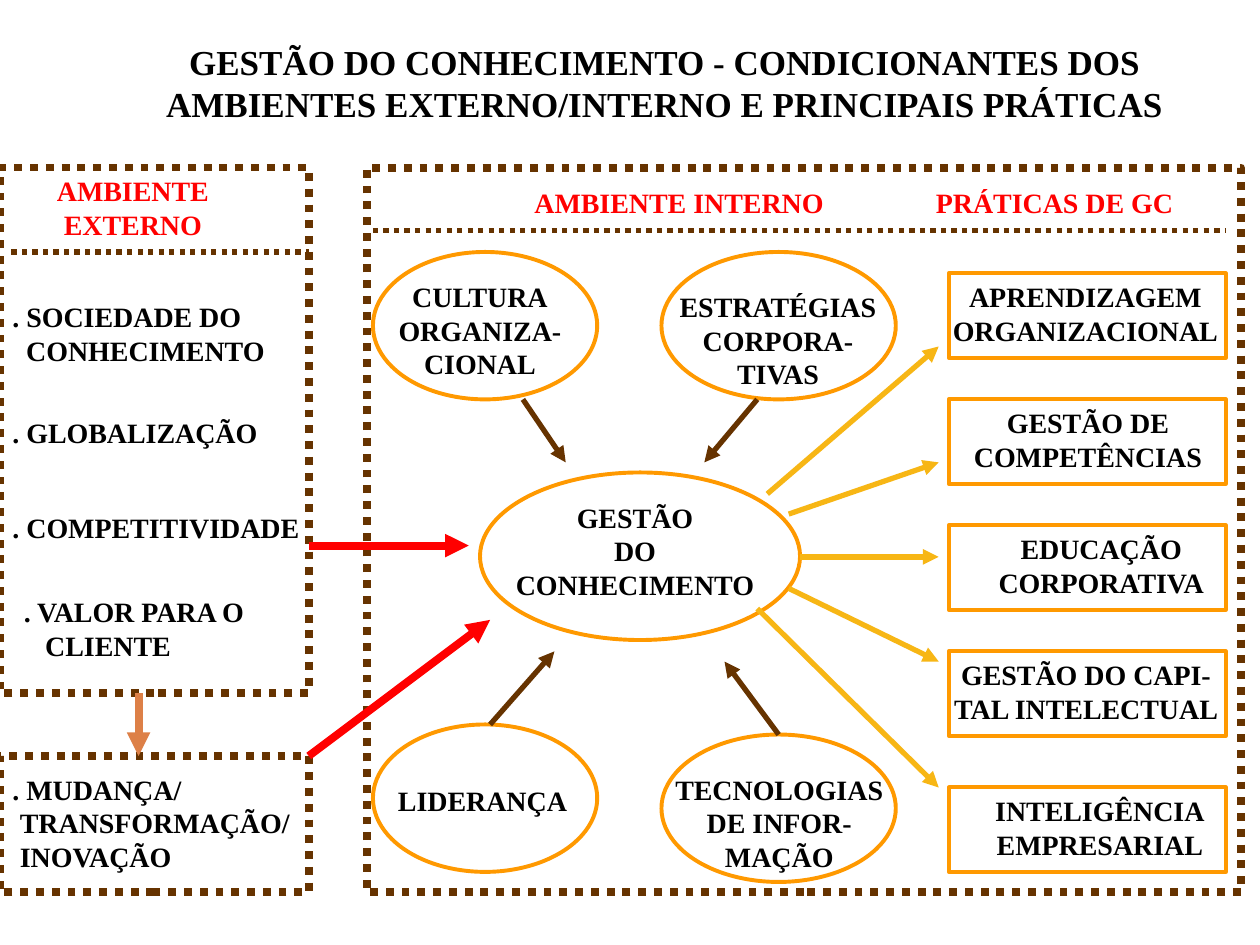
from dataclasses import dataclass

from lxml import etree
from pptx import Presentation
from pptx.dml.color import RGBColor
from pptx.enum.dml import MSO_LINE
from pptx.enum.shapes import MSO_CONNECTOR, MSO_SHAPE
from pptx.enum.text import MSO_AUTO_SIZE, PP_ALIGN
from pptx.oxml.ns import qn
from pptx.util import Inches, Pt

RECT = MSO_SHAPE.RECTANGLE
OVAL = MSO_SHAPE.OVAL
STRAIGHT = MSO_CONNECTOR.STRAIGHT
DOT = MSO_LINE.ROUND_DOT
FIT = MSO_AUTO_SIZE.SHAPE_TO_FIT_TEXT
LEFT = PP_ALIGN.LEFT
CENTER = PP_ALIGN.CENTER

FACE = "Times New Roman"
BLACK = "000000"
RED = "FF0000"
BROWN = "663300"
ORANGE = "FF9900"
GOLD = "F7B615"
COPPER = "DD8047"


@dataclass
class Label:
    text: str
    x: float
    y: float
    w: float
    color: str = BLACK
    size: int = 16
    align: PP_ALIGN = CENTER
    indent: float = 0


@dataclass
class Box:
    x: float
    y: float
    w: float
    h: float
    kind: MSO_SHAPE = RECT
    color: str = ORANGE
    width: float = 2.25
    dotted: bool = False


@dataclass
class Link:
    x1: float
    y1: float
    x2: float
    y2: float
    color: str = BROWN
    width: float = 3
    dotted: bool = False


def paint(target, color: str) -> None:
    target.rgb = RGBColor.from_string(color)


def style(line, item) -> None:
    paint(line.color, item.color)
    line.width = Pt(item.width)
    if item.dotted:
        line.dash_style = DOT


def draw_box(slide, box: Box) -> None:
    shape = slide.shapes.add_shape(
        box.kind, Inches(box.x), Inches(box.y), Inches(box.w), Inches(box.h))
    shape.shadow.inherit = False
    shape.fill.background()
    style(shape.line, box)


def draw_label(slide, label: Label) -> None:
    rows = label.text.split("\n")
    high = 0.1 + len(rows) * label.size / 60
    shape = slide.shapes.add_textbox(
        Inches(label.x), Inches(label.y), Inches(label.w), Inches(high))
    frame = shape.text_frame
    frame.word_wrap = False
    frame.auto_size = FIT
    frame.text = label.text
    for index, para in enumerate(frame.paragraphs):
        para.alignment = label.align
        para.font.name = FACE
        para.font.size = Pt(label.size)
        para.font.bold = True
        paint(para.font.color, label.color)
        if index and label.indent:
            para._p.get_or_add_pPr().set("marL", str(Inches(label.indent)))


def draw_link(slide, link: Link) -> None:
    line = slide.shapes.add_connector(
        STRAIGHT, Inches(link.x1), Inches(link.y1), Inches(link.x2), Inches(link.y2))
    style(line.line, link)
    if not link.dotted:
        etree.SubElement(line.line._get_or_add_ln(), qn("a:tailEnd"), type="triangle")
    etree.SubElement(line._element.spPr, qn("a:effectLst"))


FRAMES = [
    Box(x, y, w, h, color=BROWN, width=4.5, dotted=True)
    for x, y, w, h in [(2.91, 1.33, 6.94, 5.75), (0, 1.33, 2.45, 4.17), (0, 6, 2.45, 1.08)]
]

OVALS = [
    Box(x, y, w, h, OVAL)
    for x, y, w, h in [
        (3.81, 3.75, 2.54, 1.33),
        (2.96, 2, 1.78, 1.17),
        (5.25, 2, 1.86, 1.17),
        (2.96, 5.75, 1.78, 1.17),
        (5.25, 5.83, 1.86, 1.17),
    ]
]

TASKS = [
    Label("APRENDIZAGEM\nORGANIZACIONAL", 7.46, 2.17, 2.31),
    Label("GESTÃO DE\nCOMPETÊNCIAS", 7.63, 3.17, 2.01),
    Label("EDUCAÇÃO\nCORPORATIVA", 7.8, 4.17, 1.88),
    Label("GESTÃO DO CAPI-\nTAL INTELECTUAL", 7.46, 5.17, 2.32),
    Label("INTELIGÊNCIA\nEMPRESARIAL", 7.8, 6.25, 1.86),
]

HEADS = [
    Label("GESTÃO DO CONHECIMENTO - CONDICIONANTES DOS\n"
          "AMBIENTES EXTERNO/INTERNO E PRINCIPAIS PRÁTICAS", 1.07, 0.27, 8.41, size=20),
    Label("AMBIENTE INTERNO", 4.14, 1.42, 2.5, RED),
    Label("PRÁTICAS DE GC", 7.27, 1.42, 2.2, RED),
    Label("AMBIENTE\nEXTERNO", 0.35, 1.33, 1.41, RED),
]

THEMES = [
    Label("GESTÃO\nDO\nCONHECIMENTO", 3.99, 3.92, 2.1),
    Label("CULTURA\nORGANIZA-\nCIONAL", 3.06, 2.17, 1.5),
    Label("ESTRATÉGIAS\nCORPORA-\nTIVAS", 5.26, 2.25, 1.83),
    Label("LIDERANÇA", 3.06, 6.17, 1.54),
    Label("TECNOLOGIAS\nDE INFOR-\nMAÇÃO", 5.26, 6.08, 1.85),
]

FORCES = [
    Label(text, x, y, w, align=LEFT, indent=indent)
    for text, x, y, w, indent in [
        (". SOCIEDADE DO\nCONHECIMENTO", 0, 2.33, 2.21, 0.11),
        (". GLOBALIZAÇÃO", 0, 3.25, 2.15, 0),
        (". COMPETITIVIDADE", 0, 4, 2.48, 0),
        (". VALOR PARA O\nCLIENTE", 0.09, 4.67, 2.01, 0.17),
        (". MUDANÇA/\nTRANSFORMAÇÃO/\nINOVAÇÃO", 0, 6.08, 2.4, 0.06),
    ]
]

RULES = [
    Link(2.96, 1.83, 9.73, 1.83, dotted=True),
    Link(0.09, 2, 2.45, 2, dotted=True),
]

INPUTS = [
    Link(4.15, 3.17, 4.49, 3.67),
    Link(6.01, 3.17, 5.59, 3.67),
    Link(3.89, 5.75, 4.4, 5.17),
    Link(6.18, 5.83, 5.75, 5.25),
    Link(1.1, 5.5, 1.1, 6, COPPER, 4.5),
    Link(2.45, 4.33, 3.72, 4.33, RED, 4.5),
    Link(2.45, 6, 3.89, 4.92, RED, 4.5),
]

OUTPUTS = [
    Link(x, y, 7.45, end, GOLD)
    for x, y, end in [
        (6.09, 3.92, 2.75),
        (6.26, 4.08, 3.67),
        (6.35, 4.42, 4.42),
        (6.26, 4.67, 5.25),
        (6.01, 4.83, 6.25),
    ]
]


def main() -> None:
    deck = Presentation()
    deck.slide_width = Inches(10)
    deck.slide_height = Inches(7.5)
    slide = deck.slides.add_slide(deck.slide_layouts[6])
    cards = [Box(7.53, task.y, 2.2, 0.67) for task in TASKS]
    for box in FRAMES + OVALS + cards:
        draw_box(slide, box)
    for label in HEADS + THEMES + TASKS + FORCES:
        draw_label(slide, label)
    for link in RULES + INPUTS + OUTPUTS:
        draw_link(slide, link)
    deck.save("out.pptx")


if __name__ == "__main__":
    main()
